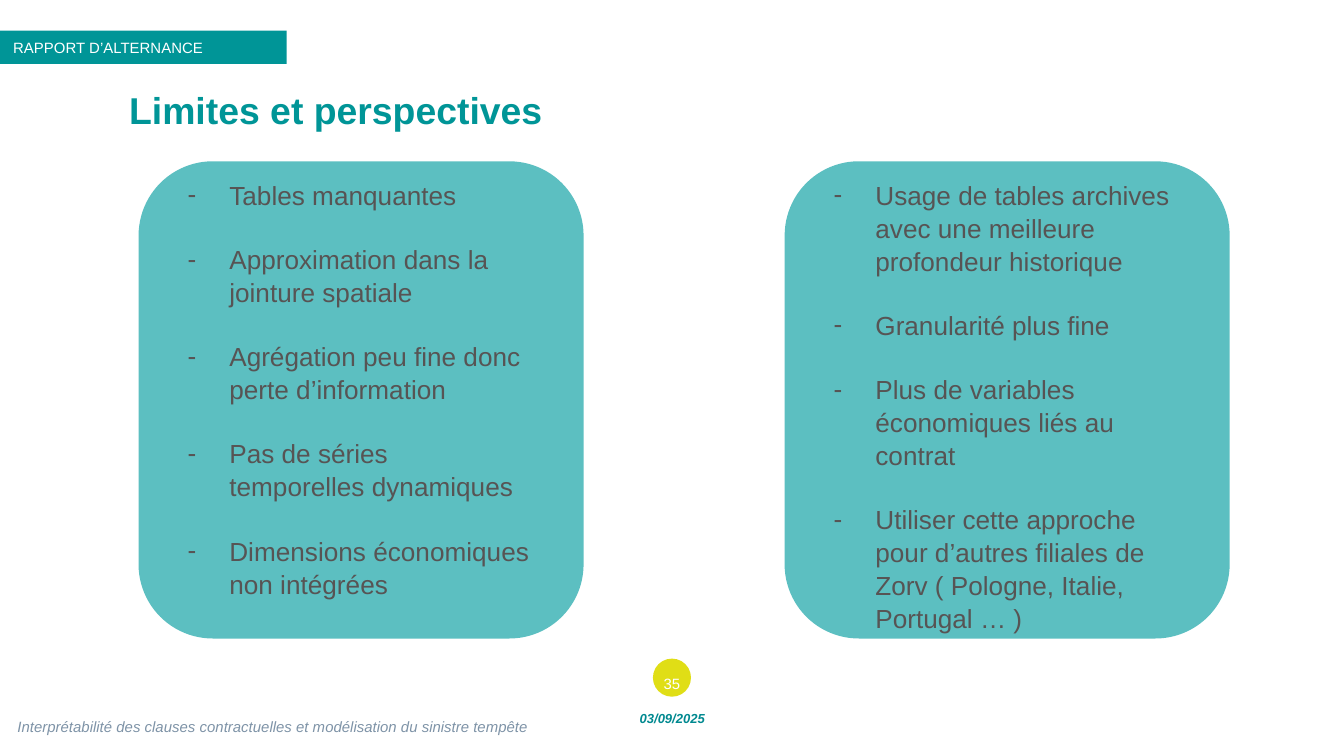
from dataclasses import dataclass

from lxml.etree import SubElement
from pptx import Presentation
from pptx.dml.color import RGBColor
from pptx.enum.shapes import MSO_SHAPE
from pptx.enum.text import MSO_ANCHOR, MSO_AUTO_SIZE, PP_ALIGN
from pptx.oxml.ns import qn
from pptx.util import Cm, Pt

COLORS = {
    "teal": "009597",
    "dark_teal": "008990",
    "card": "5CBFC1",
    "lime": "E0DE16",
    "text": "575454",
    "footer": "7E93A7",
    "white": "FFFFFF",
}
FONT = "Arial"
CARD_TOP, CARD_W, CARD_H = 3.05, 8.41, 9.02
LIST_DX, LIST_DY, LIST_W, LIST_H = 0.67, 0.18, 6.99, 8.64
BULLET_INDENT = Cm(0.79)


@dataclass
class Card:
    left: float
    items: list[str]


CARDS = [
    Card(2.62, [
        "Tables manquantes",
        "Approximation dans la jointure spatiale",
        "Agrégation peu fine donc perte d’information",
        "Pas de séries temporelles dynamiques",
        "Dimensions économiques non intégrées",
    ]),
    Card(14.83, [
        "Usage de tables archives avec une meilleure profondeur historique",
        "Granularité plus fine",
        "Plus de variables économiques liés au contrat",
        "Utiliser cette approche pour d’autres filiales de "
        "Zorv ( Pologne, Italie, Portugal … )",
    ]),
]


def place(sp, left: float, top: float, width: float, height: float) -> None:
    sp.left, sp.top, sp.width, sp.height = map(Cm, (left, top, width, height))


def write(sp, *texts: str, size: float, color: str, bold=False, italic=False,
          align=PP_ALIGN.LEFT, anchor=MSO_ANCHOR.MIDDLE, inset=None,
          spacing=1.0, after=0) -> None:
    """Fill a shape with one formatted paragraph per text."""
    tf = sp.text_frame
    tf.word_wrap = True
    tf.auto_size = MSO_AUTO_SIZE.NONE
    tf.vertical_anchor = anchor
    if inset is not None:
        tf.margin_left = tf.margin_right = Cm(inset)
        tf.margin_top = tf.margin_bottom = Cm(inset)
    for i, text in enumerate(texts):
        p = tf.add_paragraph() if i else tf.paragraphs[0]
        p.alignment = align
        p.line_spacing = spacing
        p.space_before, p.space_after = Pt(0), Pt(after)
        r = p.add_run()
        r.text = text
        font = r.font
        font.name, font.size = FONT, Pt(size)
        font.bold, font.italic = bold, italic
        font.color.rgb = RGBColor.from_string(COLORS[color])


def add_filled(s, kind: MSO_SHAPE, color: str, *box: float):
    sp = s.shapes.add_shape(kind, *map(Cm, box))
    sp.shadow.inherit = False
    sp.fill.solid()
    sp.fill.fore_color.rgb = RGBColor.from_string(COLORS[color])
    sp.line.fill.background()
    return sp


def add_label(s, text: str, *box: float, **fmt) -> None:
    write(s.shapes.add_textbox(*map(Cm, box)), text, **fmt)


def set_dashes(tf) -> None:
    for p in tf.paragraphs:
        pPr = p._p.get_or_add_pPr()
        pPr.set("marL", str(BULLET_INDENT))
        pPr.set("indent", str(-BULLET_INDENT))
        SubElement(pPr, qn("a:buChar")).set("char", "-")


def add_card(s, card: Card, body) -> None:
    """Draw the rounded card and bring its list placeholder in front."""
    add_filled(s, MSO_SHAPE.ROUNDED_RECTANGLE, "card",
               card.left, CARD_TOP, CARD_W, CARD_H)
    place(body, card.left + LIST_DX, CARD_TOP + LIST_DY, LIST_W, LIST_H)
    write(body, *card.items, size=14, color="text", anchor=MSO_ANCHOR.TOP,
          spacing=1.05, after=16.8)
    set_dashes(body.text_frame)
    s.shapes._spTree.append(body._element)


def main() -> None:
    prs = Presentation()
    prs.slide_width, prs.slide_height = Cm(25.4), Cm(14.29)
    s = prs.slides.add_slide(prs.slide_layouts[3])
    title, *bodies = list(s.placeholders)

    place(title, 2.34, 1.68, 22.35, 1.75)
    write(title, "Limites et perspectives", size=20, color="teal", bold=True,
          anchor=MSO_ANCHOR.TOP, inset=0.1, spacing=0.85)

    band = add_filled(s, MSO_SHAPE.RECTANGLE, "teal", 0, 0.58, 5.42, 0.63)
    write(band, "RAPPORT D’ALTERNANCE", size=8, color="white")

    for card, body in zip(CARDS, bodies):
        add_card(s, card, body)

    add_filled(s, MSO_SHAPE.OVAL, "lime", 12.34, 12.45, 0.72, 0.72)
    add_label(s, "35", 12.1, 12.55, 1.2, 0.76, size=8, color="white",
              align=PP_ALIGN.CENTER)
    add_label(s, "03/09/2025", 11.79, 13.34, 1.83, 0.46, size=7,
              color="dark_teal", bold=True, italic=True,
              align=PP_ALIGN.CENTER, inset=0.1)
    add_label(s, "Interprétabilité des clauses contractuelles et modélisation "
              "du sinistre tempête", 0.23, 13.41, 10.82, 0.64, size=8,
              color="footer", italic=True, inset=0.1)
    prs.save("out.pptx")


if __name__ == "__main__":
    main()
